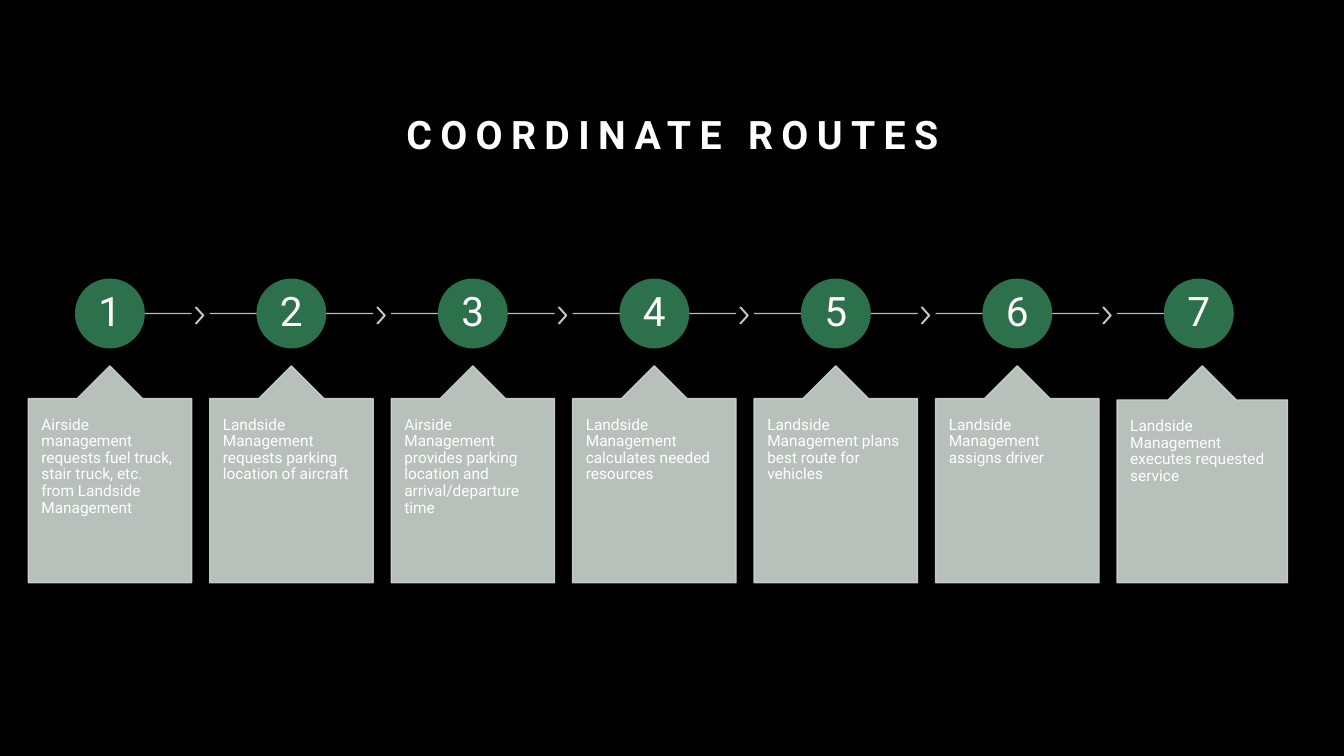
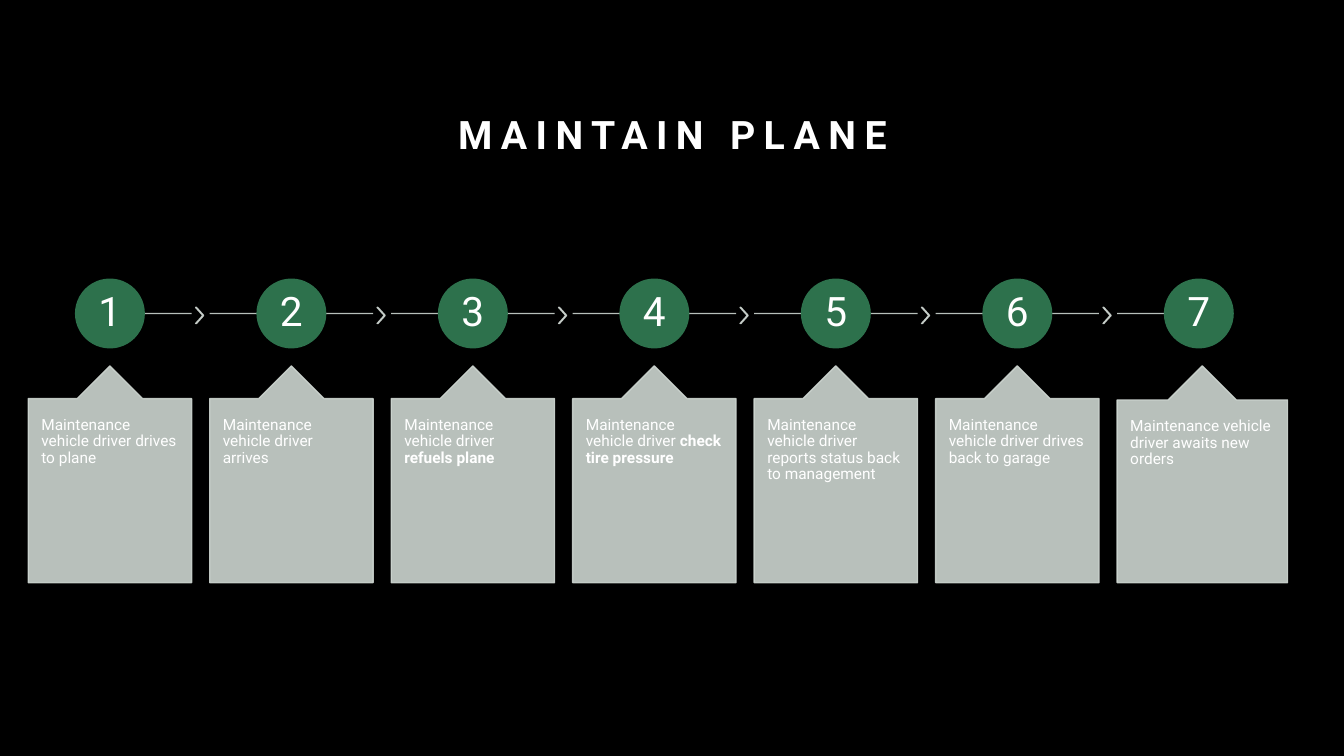
from lxml.etree import SubElement
from pptx import Presentation
from pptx.dml.color import RGBColor
from pptx.enum.shapes import MSO_CONNECTOR, MSO_SHAPE
from pptx.enum.text import MSO_ANCHOR, MSO_AUTO_SIZE, PP_ALIGN
from pptx.oxml.ns import qn
from pptx.util import Inches, Pt

BLACK = RGBColor(0x00, 0x00, 0x00)
WHITE = RGBColor(0xFF, 0xFF, 0xFF)
GREEN = RGBColor(0x2D, 0x71, 0x4C)
SAGE = RGBColor(0xCD, 0xD5, 0xD0)
FONT = "Roboto"

LEFT, PITCH = 0.28, 1.8
WIDTH, LAST = 1.62, 1.69
MID = WIDTH / 2
AXIS, DISC = 3.11, 0.68

# An asterisk starts the bold part of a step.
FLOWS = {
    "COORDINATE ROUTES": [
        "Airside management requests fuel truck, stair truck, etc. from Landside Management",
        "Landside Management requests parking location of aircraft",
        "Airside Management provides parking location and arrival/departure time",
        "Landside Management calculates needed resources",
        "Landside Management plans best route for vehicles",
        "Landside Management assigns driver",
        "Landside Management executes requested service",
    ],
    "MAINTAIN PLANE": [
        "Maintenance vehicle driver drives to plane",
        "Maintenance vehicle driver arrives",
        "Maintenance vehicle driver *refuels plane",
        "Maintenance vehicle driver *check tire pressure",
        "Maintenance vehicle driver reports status back to management",
        "Maintenance vehicle driver drives back to garage",
        "Maintenance vehicle driver awaits new orders",
    ],
}


def fade(shape):
    """Make the fill and line colours 90% opaque."""
    for color in shape.element.spPr.iter(qn("a:srgbClr")):
        SubElement(color, qn("a:alpha"), val="90000")


class Deck:
    def __init__(self):
        self.prs = Presentation()
        self.prs.slide_width = Inches(13.33)
        self.prs.slide_height = Inches(7.5)
        fill = self.prs.slide_master.background.fill
        fill.solid()
        fill.fore_color.rgb = BLACK
        self.slide = None

    def page(self, text):
        self.slide = self.prs.slides.add_slide(self.prs.slide_layouts[5])
        title = self.slide.shapes.title
        title.left, title.top = Inches(1.62), Inches(0.67)
        title.width, title.height = Inches(10.1), Inches(0.94)
        frame = title.text_frame
        frame.text = text
        frame.auto_size = MSO_AUTO_SIZE.NONE
        frame.vertical_anchor = MSO_ANCHOR.BOTTOM
        self.style(frame, 28, PP_ALIGN.CENTER, 1.2)
        run = frame.paragraphs[0].runs[0]
        run.font.bold = True
        run.font._element.set("spc", "600")

    def style(self, frame, size, align, space):
        para = frame.paragraphs[0]
        para.alignment, para.line_spacing = align, space
        for run in para.runs:
            run.font.name, run.font.size = FONT, Pt(size)
            run.font.color.rgb = WHITE

    def shape(self, kind, box, color, adjust=()):
        shape = self.slide.shapes.add_shape(kind, *map(Inches, box))
        for i, value in enumerate(adjust):
            shape.adjustments[i] = value
        shape.shadow.inherit = False
        shape.fill.solid()
        shape.fill.fore_color.rgb = color
        shape.line.color.rgb = color
        shape.line.width = Pt(1)
        return shape

    def line(self, start, end):
        line = self.slide.shapes.add_connector(
            MSO_CONNECTOR.STRAIGHT,
            Inches(start), Inches(AXIS), Inches(end), Inches(AXIS))
        line.line.color.rgb = SAGE
        line.line.width = Pt(1)
        SubElement(line.element.spPr, qn("a:effectLst"))
        fade(line)

    def arrow(self, left):
        box = (left, 3.05, 0.08, 0.16)
        fade(self.shape(MSO_SHAPE.CHEVRON, box, SAGE, [0.9]))

    def disc(self, left, number):
        box = (left, AXIS - DISC / 2, DISC, DISC)
        frame = self.shape(MSO_SHAPE.OVAL, box, GREEN).text_frame
        frame.text = str(number)
        self.pad(frame, 0.03, 0.03)
        frame.vertical_anchor = MSO_ANCHOR.MIDDLE
        self.style(frame, 29, PP_ALIGN.CENTER, 0.9)

    def card(self, left, width, text):
        card = self.shape(MSO_SHAPE.UP_ARROW_CALLOUT, (left, 3.63, width, 2.15),
                          SAGE, [0.5, 0.2, 0.2, 1])
        fade(card)
        frame = card.text_frame
        plain, _, strong = text.partition("*")
        frame.text = plain
        if strong:
            run = frame.paragraphs[0].add_run()
            run.text = strong
            run.font.bold = True
        self.pad(frame, 0.13, 0.18)
        frame.vertical_anchor = MSO_ANCHOR.TOP
        self.style(frame, 11, PP_ALIGN.LEFT, 0.9)

    def pad(self, frame, side, end):
        frame.word_wrap = True
        frame.margin_left = frame.margin_right = Inches(side)
        frame.margin_top = frame.margin_bottom = Inches(end)

    def flow(self, steps):
        """Draw numbered discs on one axis, each with a card below."""
        final = len(steps) - 1
        for i, text in enumerate(steps):
            left = LEFT + i * PITCH
            right = left + WIDTH
            center = left + MID
            self.line(center if i == 0 else left,
                      center if i == final else right)
            if i < final:
                self.arrow(right + 0.04)
            self.disc(center - DISC / 2, i + 1)
            self.card(left, LAST if i == final else WIDTH, text)


def main():
    deck = Deck()
    for title, steps in FLOWS.items():
        deck.page(title)
        deck.flow(steps)
    deck.prs.save("out.pptx")


if __name__ == "__main__":
    main()
